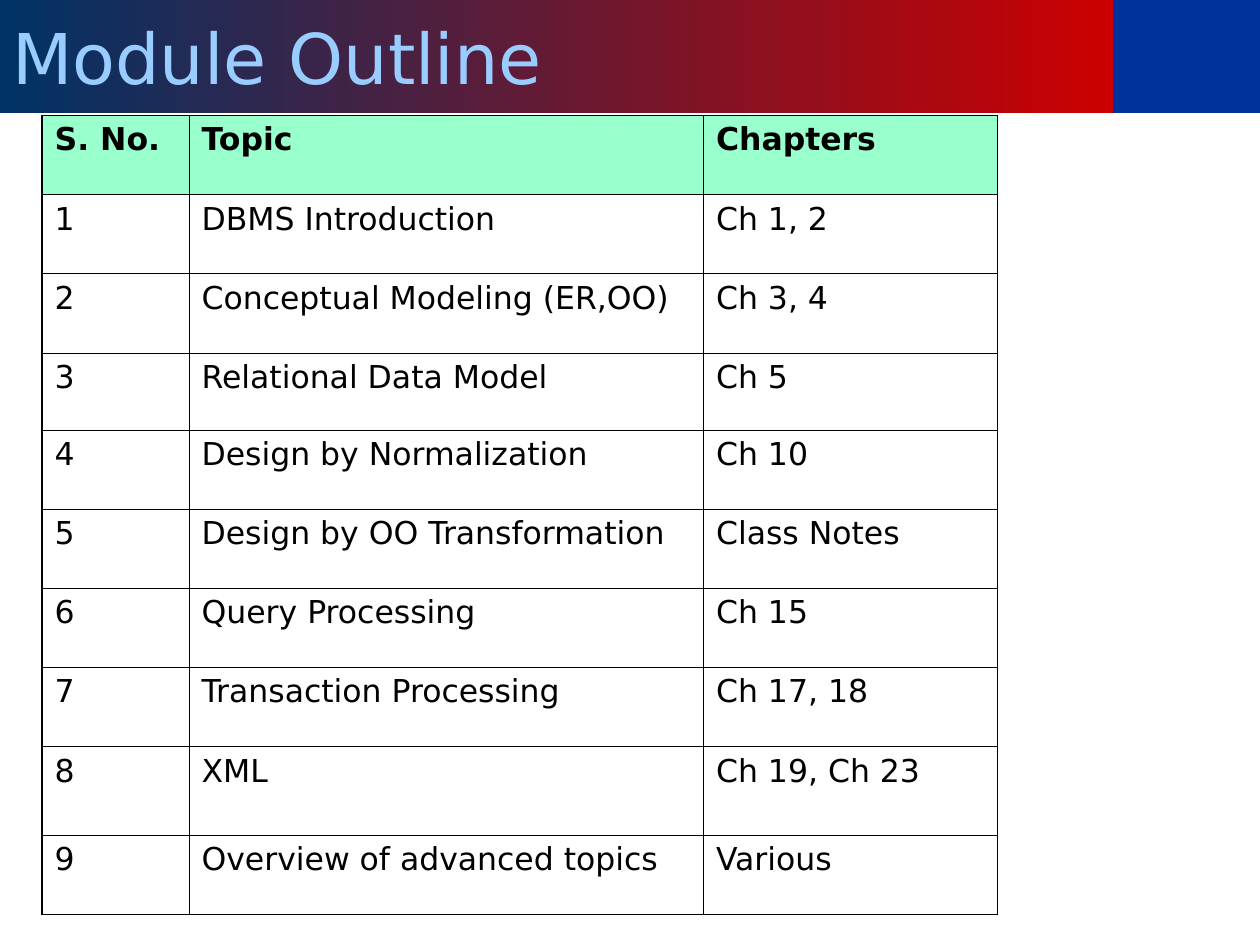
from lxml import etree
from pptx import Presentation
from pptx.dml.color import RGBColor
from pptx.enum.shapes import MSO_SHAPE
from pptx.enum.text import MSO_ANCHOR, PP_ALIGN
from pptx.oxml.ns import qn
from pptx.util import Pt

RECT = MSO_SHAPE.RECTANGLE
MIDDLE = MSO_ANCHOR.MIDDLE
LEFT = PP_ALIGN.LEFT

FONT = "DejaVu Sans"
BLACK = "000000"
OUTER, INNER = 1.08, 0.45

TITLE = "Module Outline"
ROWS = [
    ("S. No.", "Topic", "Chapters"),
    ("1", "DBMS Introduction", "Ch 1, 2"),
    ("2", "Conceptual Modeling (ER,OO)", "Ch 3, 4"),
    ("3", "Relational Data Model", "Ch 5"),
    ("4", "Design by Normalization", "Ch 10"),
    ("5", "Design by OO Transformation", "Class Notes"),
    ("6", "Query Processing", "Ch 15"),
    ("7", "Transaction Processing", "Ch 17, 18"),
    ("8", "XML", "Ch 19, Ch 23"),
    ("9", "Overview of advanced topics", "Various"),
]
COL_WIDTHS = [84, 294, 168]
ROW_HEIGHT = 45.25
ODD_HEIGHTS = {3: 44, 8: 50.75}
BAR_HEIGHT, BAR_SPLIT, SLIDE_W, SLIDE_H = 64.5, 636, 720, 540


def color(hex_text):
    return RGBColor.from_string(hex_text)


def add_bar(s, left, width):
    sp = s.shapes.add_shape(RECT, Pt(left), 0, Pt(width), Pt(BAR_HEIGHT))
    sp.shadow.inherit = False
    sp.line.fill.background()
    return sp


def add_text(tf, text, size, hex_text, bold=False):
    p = tf.paragraphs[0]
    p.alignment = LEFT
    r = p.add_run()
    r.text = text
    r.font.name = FONT
    r.font.size = Pt(size)
    r.font.bold = bold
    r.font.color.rgb = color(hex_text)


def set_borders(cell, left, right, top, bottom):
    tc_pr = cell._tc.get_or_add_tcPr()
    for tag, width in zip(("lnL", "lnR", "lnT", "lnB"), (left, right, top, bottom)):
        ln = etree.SubElement(tc_pr, qn("a:" + tag), w=str(Pt(width)))
        fill = etree.SubElement(ln, qn("a:solidFill"))
        etree.SubElement(fill, qn("a:srgbClr"), val=BLACK)


prs = Presentation()
prs.slide_width, prs.slide_height = Pt(SLIDE_W), Pt(SLIDE_H)
s = prs.slides.add_slide(prs.slide_layouts[6])

corner = add_bar(s, BAR_SPLIT, SLIDE_W - BAR_SPLIT)
corner.fill.solid()
corner.fill.fore_color.rgb = color("003399")

title = add_bar(s, 0, BAR_SPLIT)
title.fill.gradient()
title.fill.gradient_angle = 0
for stop, position, hex_text in zip(title.fill.gradient_stops, (0, 1), ("003366", "CC0000")):
    stop.position = position
    stop.color.rgb = color(hex_text)
title.text_frame.vertical_anchor = MIDDLE
add_text(title.text_frame, TITLE, 40, "99CCFF")

heights = [ODD_HEIGHTS.get(i, ROW_HEIGHT) for i in range(len(ROWS))]
table = s.shapes.add_table(len(ROWS), len(COL_WIDTHS), Pt(24), Pt(66),
                           Pt(sum(COL_WIDTHS)), Pt(sum(heights))).table
table.first_row = table.horz_banding = False
for column, width in zip(table.columns, COL_WIDTHS):
    column.width = Pt(width)

last_row, last_col = len(ROWS) - 1, len(COL_WIDTHS) - 1
for i, row in enumerate(ROWS):
    table.rows[i].height = Pt(heights[i])
    for j, text in enumerate(row):
        cell = table.cell(i, j)
        at_edge = (j == 0, j == last_col, i == 0, i == last_row)
        set_borders(cell, *(OUTER if edge else INNER for edge in at_edge))
        if i == 0:
            cell.fill.solid()
            cell.fill.fore_color.rgb = color("99FFCC")
        else:
            cell.fill.background()
        add_text(cell.text_frame, text, 18, BLACK, bold=i == 0)

prs.save("out.pptx")
